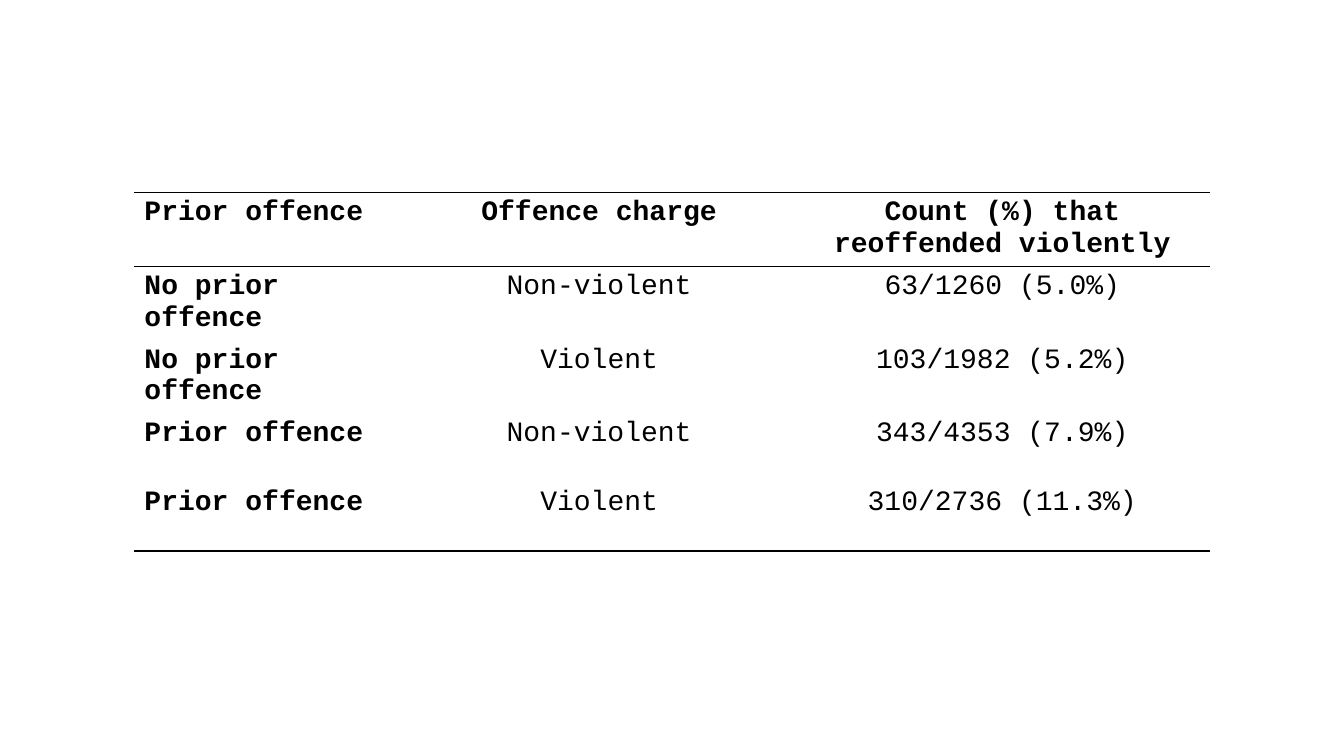
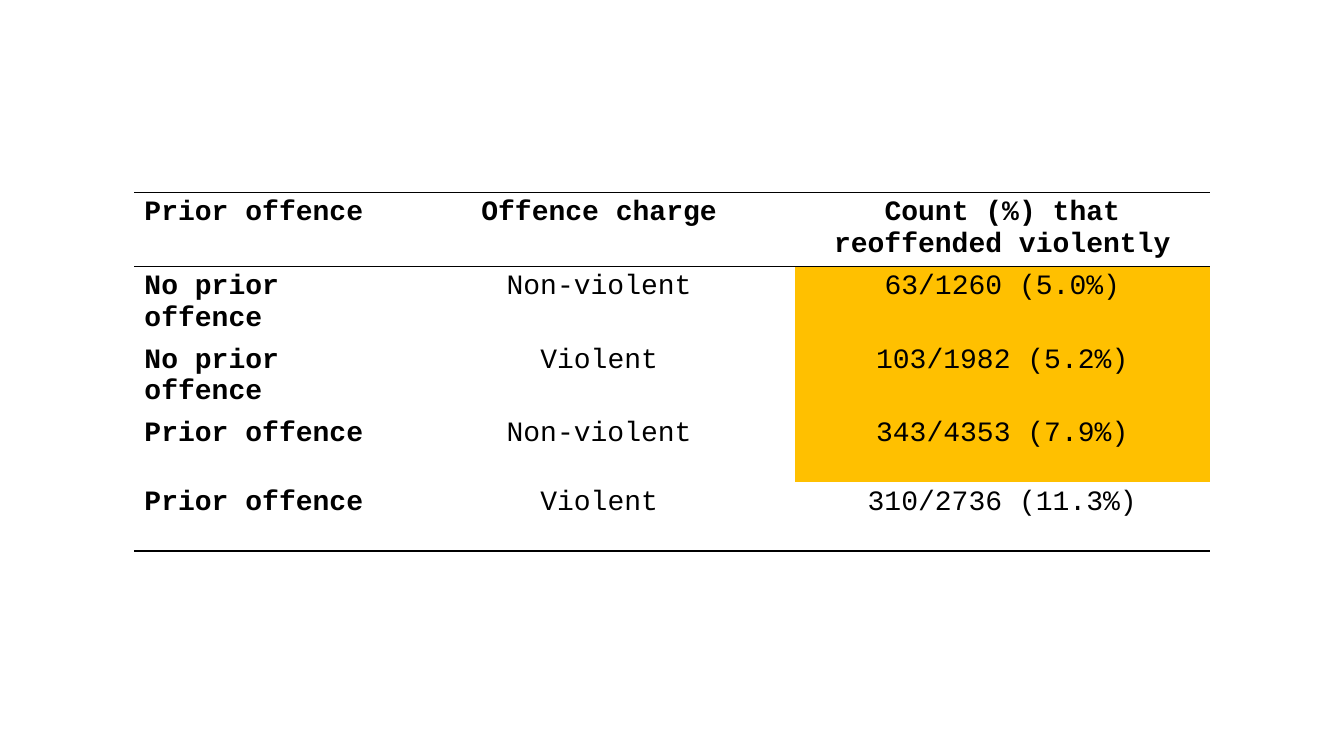
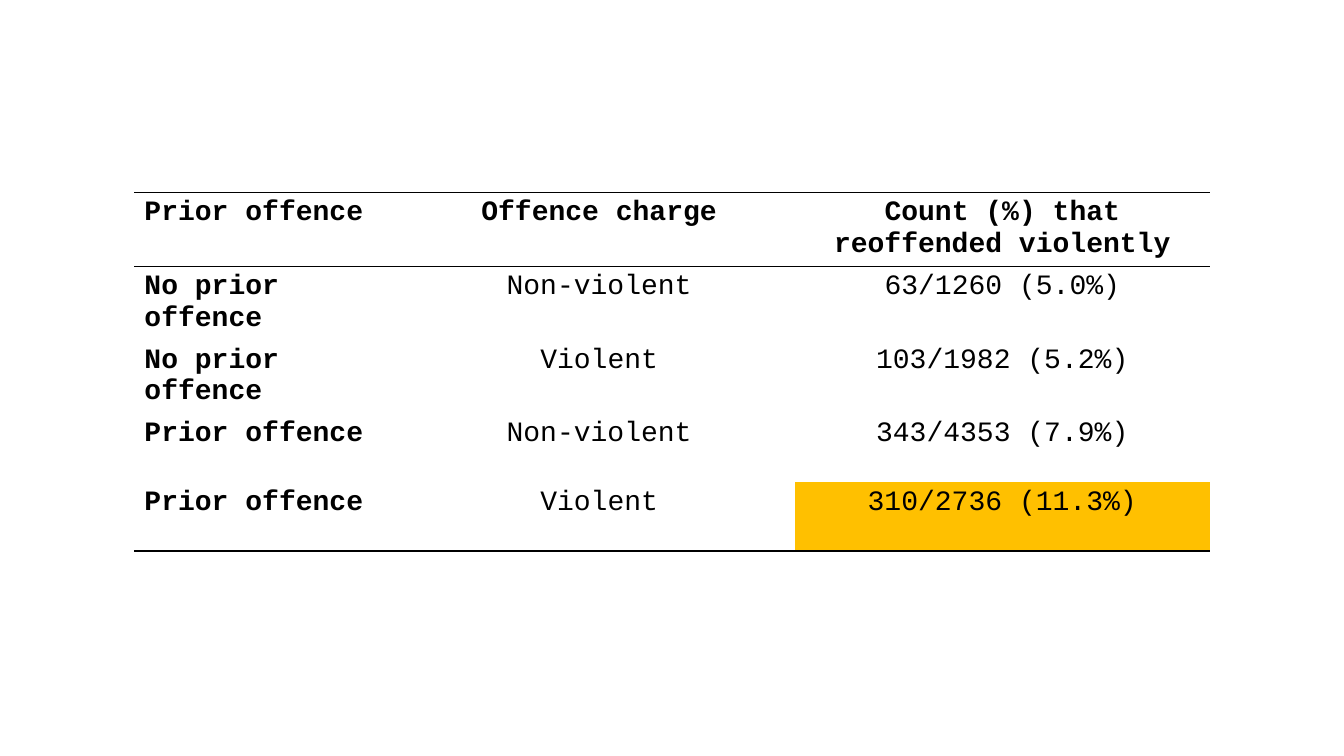
from lxml import etree
from pptx import Presentation
from pptx.dml.color import RGBColor
from pptx.enum import text
from pptx.oxml import ns
from pptx.util import Pt

BLACK, WHITE, GOLD = "000000", "FFFFFF", "FFC000"
FONT, FONT_SIZE = "Courier New", 20
TABLE_LEFT, TABLE_TOP = 96, 137.5
COLUMN_WIDTHS = (192, 280, 296)
ROW_HEIGHT = 49.2
RULE_WIDTH = 1

ROWS = (
    ("Prior offence", "Offence charge", "Count (%) that reoffended violently"),
    ("No prior offence", "Non-violent", "63/1260 (5.0%)"),
    ("No prior offence", "Violent", "103/1982 (5.2%)"),
    ("Prior offence", "Non-violent", "343/4353 (7.9%)"),
    ("Prior offence", "Violent", "310/2736 (11.3%)"),
)
LAST_ROW = len(ROWS) - 1
COUNT_COLUMN = len(COLUMN_WIDTHS) - 1
HIGHLIGHTED_ROWS = ((), (1, 2, 3), (4,))  # one entry per slide


def set_fill(fill, color):
    fill.solid()
    fill.fore_color.rgb = RGBColor.from_string(color)


def set_borders(cell, ruled):
    """Draw a black rule on the ruled sides (T, B) and clear all others."""
    properties = cell._tc.get_or_add_tcPr()
    for side in "LRTB":
        line = etree.SubElement(properties, ns.qn(f"a:ln{side}"), w=str(Pt(RULE_WIDTH)))
        if side in ruled:
            fill = etree.SubElement(line, ns.qn("a:solidFill"))
            etree.SubElement(fill, ns.qn("a:srgbClr"), val=BLACK)
        else:
            etree.SubElement(line, ns.qn("a:noFill"))


def ruled_sides(row):
    """Rules run above and below the header and below the last row."""
    top = "T" if row <= 1 else ""
    bottom = "B" if row in (0, LAST_ROW) else ""
    return top + bottom


def write_cell(cell, content, bold=False, centred=False):
    para = cell.text_frame.paragraphs[0]
    para.alignment = text.PP_ALIGN.CENTER if centred else text.PP_ALIGN.LEFT
    span = para.add_run()
    span.text = content
    span.font.name = FONT
    span.font.size = Pt(FONT_SIZE)
    span.font.bold = bold
    set_fill(span.font.fill, BLACK)


def add_offence_table(page, highlighted):
    frame = page.shapes.add_table(
        len(ROWS), len(COLUMN_WIDTHS), Pt(TABLE_LEFT), Pt(TABLE_TOP),
        Pt(sum(COLUMN_WIDTHS)), Pt(ROW_HEIGHT * len(ROWS)))
    table = frame.table
    table.first_row = table.horz_banding = False
    for column, width in zip(table.columns, COLUMN_WIDTHS):
        column.width = Pt(width)
    for r, contents in enumerate(ROWS):
        table.rows[r].height = Pt(ROW_HEIGHT)
        for c, content in enumerate(contents):
            cell = table.cell(r, c)
            write_cell(cell, content, bold=r == 0 or c == 0, centred=c > 0)
            set_borders(cell, ruled_sides(r))
            marked = c == COUNT_COLUMN and r in highlighted
            set_fill(cell.fill, GOLD if marked else WHITE)


def main():
    deck = Presentation()
    deck.slide_width, deck.slide_height = Pt(960), Pt(540)
    blank = deck.slide_layouts.get_by_name("Blank")
    for highlighted in HIGHLIGHTED_ROWS:
        add_offence_table(deck.slides.add_slide(blank), highlighted)
    deck.save("out.pptx")


if __name__ == "__main__":
    main()
